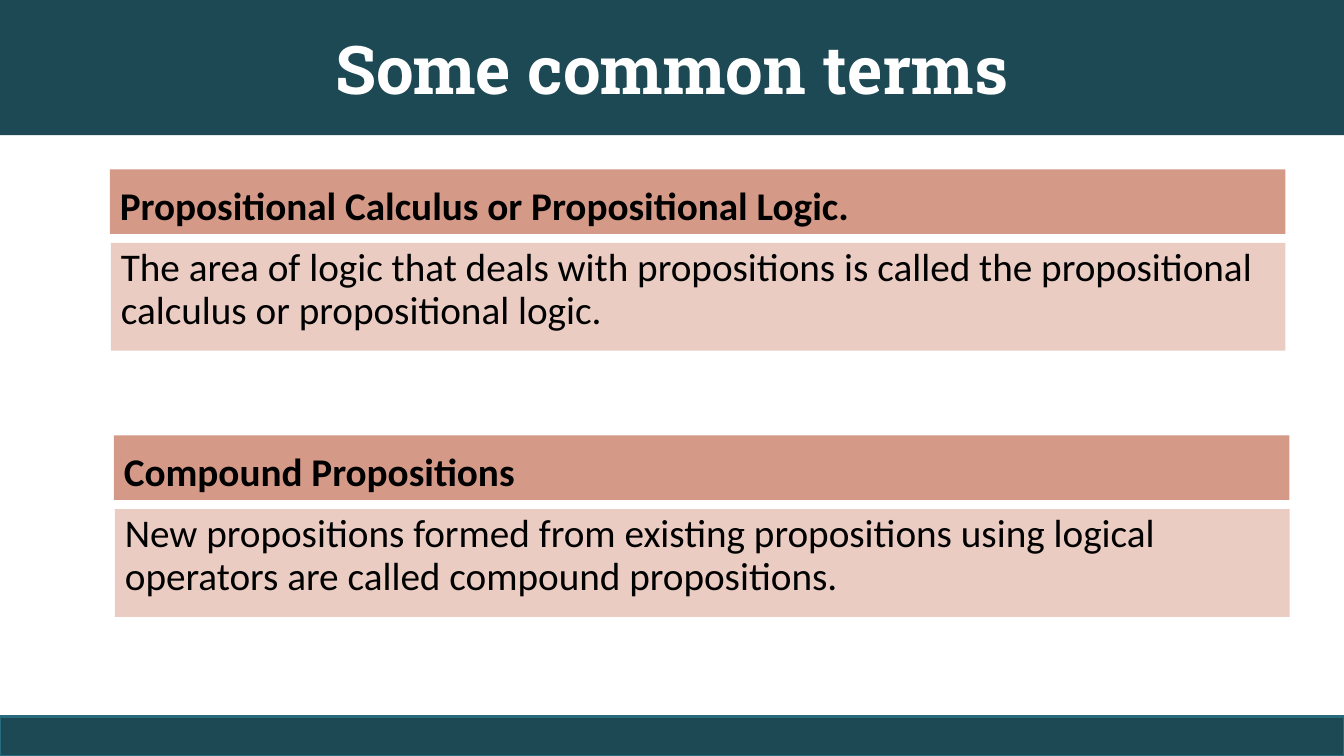
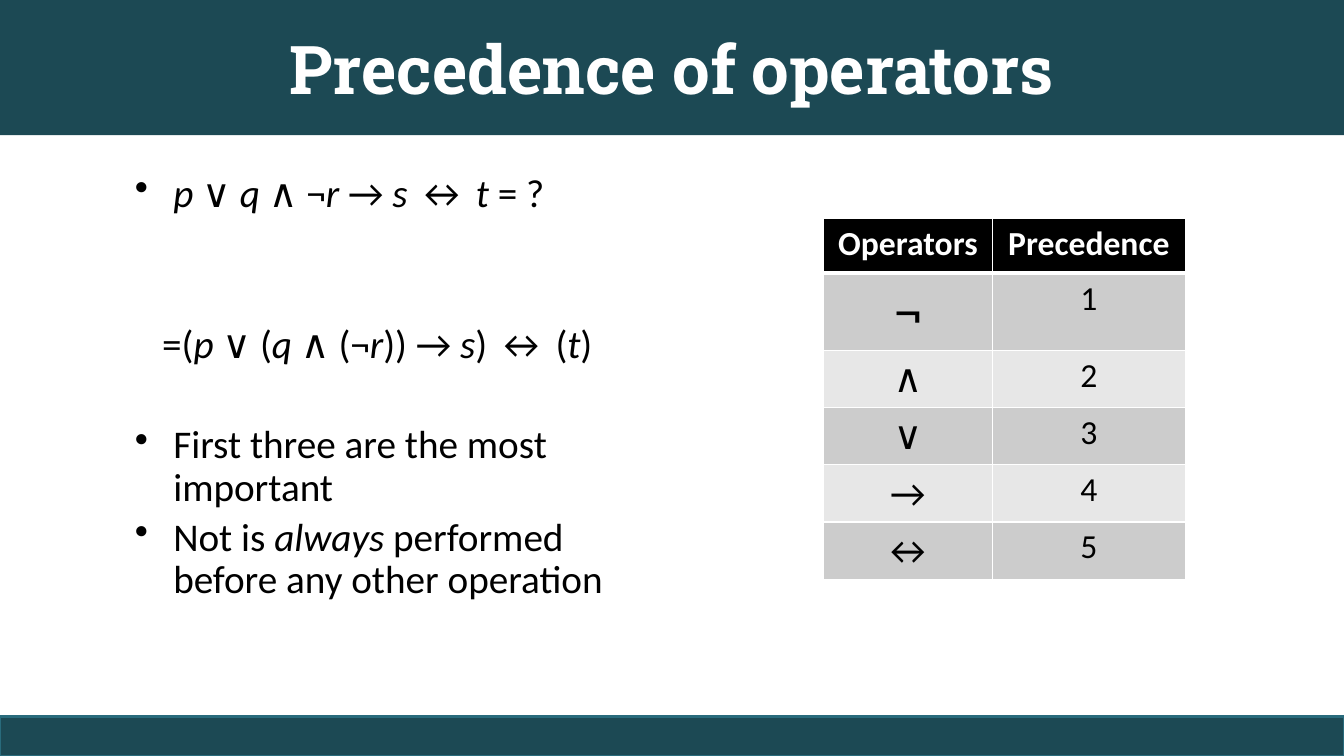
import pptx
import pptx.util
import pptx.dml.color
import pptx.enum.shapes
import pptx.enum.text
import pptx.oxml
import pptx.oxml.ns

Inches, Pt = pptx.util.Inches, pptx.util.Pt
ALIGN, ANCHOR = pptx.enum.text.PP_ALIGN, pptx.enum.text.MSO_ANCHOR

COLORS = {
    "band": "1C4954", "band_line": "296B7C", "white": "FFFFFF", "black": "000000",
    "term": "D59988", "meaning": "EACCC3", "odd_row": "CCCCCC", "even_row": "E7E7E7",
}
BODY_FONT, TITLE_FONT = "Calibri", "Roboto Slab"
SLIDE_W, SLIDE_H = 13.33, 7.5
TITLE_H, FOOTER_H = 1.34, 0.39

TERMS_TITLE = "Some common terms"
# left, top, term, meaning
TERMS = [
    (1.09, 1.68, "Propositional Calculus or Propositional Logic.",
     "The area of logic that deals with propositions is called the "
     "propositional calculus or propositional logic."),
    (1.13, 4.32, "Compound Propositions",
     "New propositions formed from existing propositions using logical "
     "operators are called compound propositions."),
]

PRECEDENCE_TITLE = "Precedence of operators"
# text with *italics*, bulleted, free lines above
POINTS = [
    ("*p* ∨ *q* ∧ ¬*r* → *s* ↔ *t* = ?", True, 0),
    ("=(*p* ∨ (*q* ∧ (¬*r*)) → *s*) ↔ (*t*)", False, 2),
    ("First three are the most important", True, 1),
    ("Not is *always* performed before any other operation", True, 0),
]
POINT_GAP, LINE_PITCH = 5.6, 36
HEADERS = ["Operators", "Precedence"]
OPERATORS = ["¬", "∧", "∨", "→", "↔"]
COL_WIDTHS, ROW_H = [1.67, 1.92], 0.54


def rgb(name):
    return pptx.dml.color.RGBColor.from_string(COLORS[name])


def write(p, text, size=28, font=BODY_FONT, color="black", bold=False,
          align=ALIGN.LEFT, spacing=None, before=None, after=None):
    """Fill a paragraph; parts between asterisks are italic."""
    p.alignment = align
    p.line_spacing = spacing
    p.space_before = None if before is None else Pt(before)
    p.space_after = None if after is None else Pt(after)
    for i, part in enumerate(text.split("*")):
        if part:
            r = p.add_run()
            r.text = part
            r.font.size, r.font.name = Pt(size), font
            r.font.bold, r.font.italic = bold, i % 2 == 1
            r.font.color.rgb = rgb(color)


def add_box(s, left, top, width, height, fill, line=None, anchor=ANCHOR.TOP):
    sp = s.shapes.add_shape(pptx.enum.shapes.MSO_SHAPE.RECTANGLE, Inches(left),
                            Inches(top), Inches(width), Inches(height))
    sp.shadow.inherit = False
    sp.fill.solid()
    sp.fill.fore_color.rgb = rgb(fill)
    if line:
        sp.line.color.rgb = rgb(line)
        sp.line.width = Pt(2)
    else:
        sp.line.fill.background()
    sp.text_frame.word_wrap = True
    sp.text_frame.vertical_anchor = anchor
    return sp


def add_slide(prs, title):
    s = prs.slides.add_slide(prs.slide_layouts[6])
    band = add_box(s, 0, 0, SLIDE_W, TITLE_H, "band", anchor=ANCHOR.MIDDLE)
    write(band.text_frame.paragraphs[0], title, size=48, font=TITLE_FONT,
          color="white", bold=True, align=ALIGN.CENTER)
    add_box(s, 0, SLIDE_H - FOOTER_H, SLIDE_W, FOOTER_H, "band", line="band_line")
    return s


def add_term(s, left, top, term, meaning):
    head = add_box(s, left, top, 11.66, 0.64, "term")
    write(head.text_frame.paragraphs[0], term, bold=True, spacing=1.14, before=10)
    body = add_box(s, left + 0.01, top + 0.73, 11.65, 1.07, "meaning")
    write(body.text_frame.paragraphs[0], meaning, spacing=0.9, before=12, after=6)


def set_indent(p, left, bullet):
    pPr = p._p.get_or_add_pPr()
    pPr.set("marL", str(Inches(left)))
    pPr.set("indent", str(-Inches(left) if bullet else 0))
    if bullet:
        bu = pptx.oxml.parse_xml(
            f'<a:buChar {pptx.oxml.ns.nsdecls("a")} char="•"/>')
        pPr.append(bu)


def add_points(s):
    tf = s.shapes.add_textbox(Inches(1.24), Inches(1.67), Inches(5.42),
                              Inches(4.95)).text_frame
    tf.word_wrap = True
    for i, (text, bullet, free_lines) in enumerate(POINTS):
        p = tf.add_paragraph() if i else tf.paragraphs[0]
        write(p, text, spacing=0.9, before=POINT_GAP + free_lines * LINE_PITCH)
        set_indent(p, 0.38 if bullet else 0.27, bullet)


def set_borders(cell, bottom):
    tcPr = cell._tc.get_or_add_tcPr()
    for i, side in enumerate("LRTB"):
        width = Pt(bottom if side == "B" else 1)
        tcPr.insert(i, pptx.oxml.parse_xml(
            f'<a:ln{side} {pptx.oxml.ns.nsdecls("a")} w="{width}"><a:solidFill>'
            f'<a:srgbClr val="{COLORS["white"]}"/></a:solidFill></a:ln{side}>'))


def add_precedence_table(s):
    rows = [HEADERS] + [[op, str(n)] for n, op in enumerate(OPERATORS, 1)]
    table = s.shapes.add_table(
        len(rows), len(HEADERS), Inches(8.17), Inches(2.17),
        Inches(sum(COL_WIDTHS)), Inches(ROW_H * len(rows))).table
    for column, width in zip(table.columns, COL_WIDTHS):
        column.width = Inches(width)
    for i, row in enumerate(rows):
        header = i == 0
        fill = "black" if header else "odd_row" if i % 2 else "even_row"
        for j, text in enumerate(row):
            cell = table.cell(i, j)
            cell.fill.solid()
            cell.fill.fore_color.rgb = rgb(fill)
            set_borders(cell, bottom=3 if header else 1)
            size = 24 if header or j else 40 if text == "¬" else 28
            write(cell.text_frame.paragraphs[0], text, size=size, bold=header,
                  color="white" if header else "black", align=ALIGN.CENTER)


def main():
    prs = pptx.Presentation()
    prs.slide_width, prs.slide_height = Inches(SLIDE_W), Inches(SLIDE_H)

    s = add_slide(prs, TERMS_TITLE)
    for term in TERMS:
        add_term(s, *term)

    s = add_slide(prs, PRECEDENCE_TITLE)
    add_points(s)
    add_precedence_table(s)

    prs.save("out.pptx")


if __name__ == "__main__":
    main()
